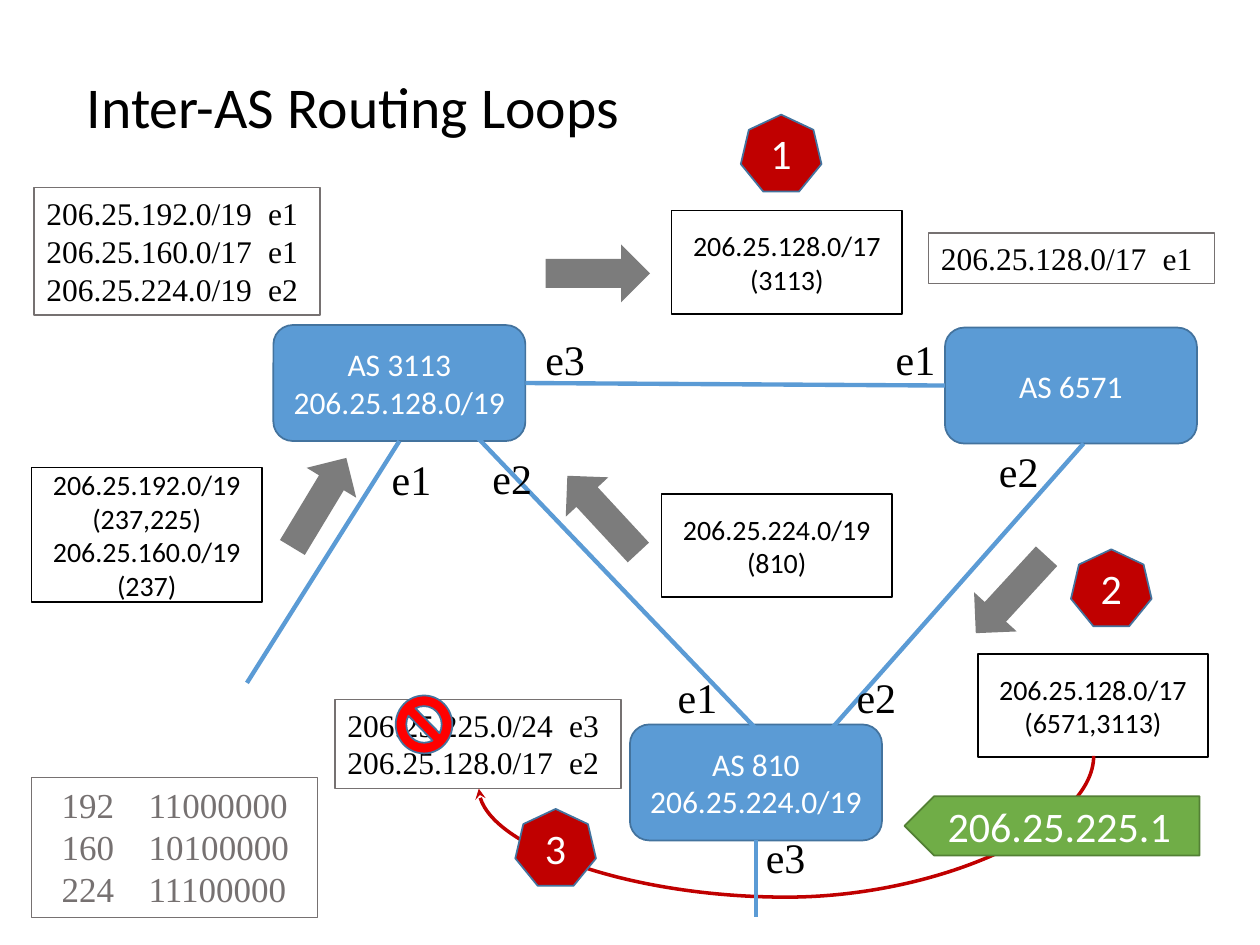
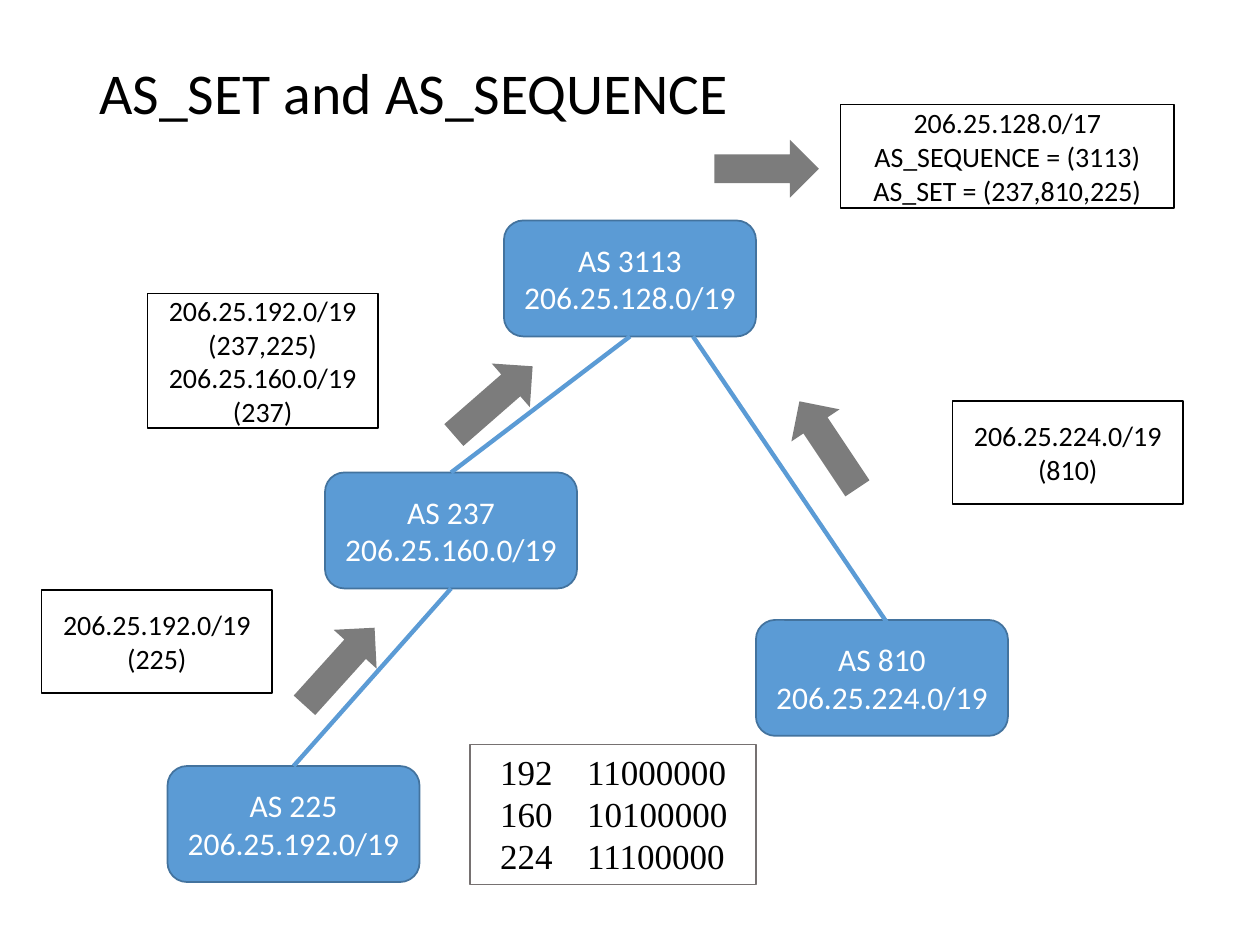
from lxml.etree import SubElement
from pptx import Presentation
from pptx.dml.color import RGBColor
from pptx.enum.shapes import MSO_CONNECTOR, MSO_SHAPE
from pptx.enum.text import MSO_ANCHOR, PP_ALIGN
from pptx.oxml.ns import qn
from pptx.util import Pt

PX = 9144
SANS, SERIF = "Calibri", "Times New Roman"
HUES = {
    "blue": "5B9BD5", "navy": "43739E", "red": "C00000", "stop": "FF0000",
    "green": "70AD47", "moss": "538035", "arrow": "7C7C7C", "gray": "767171",
    "black": "000000", "white": "FFFFFF",
}
BITS = ["192\t11000000", "160\t10100000", "224\t11100000"]
WEST = ["206.25.192.0/19", "(237,225)", "206.25.160.0/19", "(237)"]
SOUTH = ["206.25.224.0/19", "(810)"]


def draw(slide, kind, box, fill=None, edge=None, weight=1, lines=(), size=18,
         face=SANS, ink="black", align=PP_ALIGN.CENTER,
         anchor=MSO_ANCHOR.MIDDLE, inset=10, tab=None):
    place = [n * PX for n in box]
    if kind is None:
        shape = slide.shapes.add_textbox(*place)
    else:
        shape = slide.shapes.add_shape(kind, *place)
        shape.shadow.inherit = False
        for part, hue in ((shape.fill, fill), (shape.line.fill, edge)):
            if hue:
                part.solid()
                part.fore_color.rgb = RGBColor.from_string(HUES[hue])
            else:
                part.background()
        if edge:
            shape.line.width = Pt(weight)
    frame = shape.text_frame
    frame.word_wrap = True
    frame.vertical_anchor = anchor
    frame.margin_left = inset * PX
    for i, line in enumerate(lines):
        para = frame.add_paragraph() if i else frame.paragraphs[0]
        para.text = line
        para.alignment = align
        if tab:
            stops = SubElement(para._p.get_or_add_pPr(), qn("a:tabLst"))
            SubElement(stops, qn("a:tab"), pos=str(tab * PX), algn="l")
        para.font.size = Pt(size)
        para.font.name = face
        para.font.color.rgb = RGBColor.from_string(HUES[ink])
    return shape


def link(slide, kind, ends, hue="blue", weight=2.5):
    line = slide.shapes.add_connector(kind, *[n * PX for n in ends])
    line.line.color.rgb = RGBColor.from_string(HUES[hue])
    line.line.width = Pt(weight)
    SubElement(line._element.spPr, qn("a:effectLst"))
    return line


pages = [
    {
        "title": ("Inter-AS Routing Loops", (59, 36, 883, 102)),
        "nodes": [
            (217, 258, ["AS 3113", "206.25.128.0/19"]),
            (750, 260, ["AS 6571"]),
            (500, 575, ["AS 810", "206.25.224.0/19"]),
        ],
        "notes": [
            (533, 167, 183, 82, ["206.25.128.0/17", "(3113)"]),
            (525, 392, 183, 82, SOUTH),
            (25, 371, 183, 107, WEST),
            (776, 519, 183, 82, ["206.25.128.0/17", "(6571,3113)"]),
        ],
        "links": [(317, 350, 196, 542), (417, 304, 750, 306),
                  (372, 340, 614, 593), (860, 352, 647, 593)],
        "arrows": [(212, 376, 301.1), (437, 385, 227.2),
                   (433, 194, 0), (761, 449, 132.6)],
        "bits": (25, 617, "gray"),
    },
    {
        "title": ("AS_SET and AS_SEQUENCE", (69, 25, 862, 102)),
        "nodes": [
            (400, 175, ["AS 3113", "206.25.128.0/19"]),
            (258, 375, ["AS 237", "206.25.160.0/19"]),
            (133, 608, ["AS 225", "206.25.192.0/19"]),
            (600, 492, ["AS 810", "206.25.224.0/19"]),
        ],
        "notes": [
            (667, 83, 265, 82, ["206.25.128.0/17", "AS_SEQUENCE = (3113)",
                                "AS_SET = (237,810,225)"]),
            (756, 318, 183, 82, SOUTH),
            (117, 233, 183, 107, WEST),
            (33, 468, 183, 82, ["206.25.192.0/19", "(225)"]),
        ],
        "links": [(500, 267, 358, 375), (358, 467, 233, 608),
                  (550, 267, 714, 509)],
        "arrows": [(228, 506, 312.1), (350, 295, 318.9),
                   (616, 330, 236.3), (567, 111, 0)],
        "bits": (373, 591, "black"),
    },
]

deck = Presentation()
deck.slide_width = 1000 * PX
deck.slide_height = 750 * PX

for page in pages:
    slide = deck.slides.add_slide(deck.slide_layouts[6])
    text, box = page["title"]
    title = draw(slide, None, box, lines=[text], size=33, align=PP_ALIGN.LEFT)
    title.text_frame.paragraphs[0].line_spacing = 0.9
    for x, y, lines in page["nodes"]:
        draw(slide, MSO_SHAPE.ROUNDED_RECTANGLE, (x, y, 200, 92),
             "blue", "navy", lines=lines, ink="white")
    for *box, lines in page["notes"]:
        draw(slide, MSO_SHAPE.RECTANGLE, box, "white", "black",
             lines=lines, size=16)
    for ends in page["links"]:
        link(slide, MSO_CONNECTOR.STRAIGHT, ends)
    for x, y, turn in page["arrows"]:
        arrow = draw(slide, MSO_SHAPE.RIGHT_ARROW, (x, y, 83, 46), "arrow")
        arrow.rotation = turn
    x, y, ink = page["bits"]
    draw(slide, MSO_SHAPE.RECTANGLE, (x, y, 227, 111), None, "gray", 0.75,
         BITS, 20, SERIF, ink, PP_ALIGN.LEFT, MSO_ANCHOR.TOP, 24, 69)

loops = deck.slides[0]
routes = [
    (27, 149, 101, ["206.25.192.0/19\te1", "206.25.160.0/17\te1",
                    "206.25.224.0/19\te2"]),
    (737, 185, 40, ["206.25.128.0/17\te1"]),
    (266, 555, 71, ["206.25.225.0/24\te3", "206.25.128.0/17\te2"]),
]
for x, y, high, lines in routes:
    draw(loops, MSO_SHAPE.RECTANGLE, (x, y, 227, high), None, "gray", 0.75,
         lines, 18, SERIF, "black", PP_ALIGN.LEFT, MSO_ANCHOR.TOP, tab=176)

curve = link(loops, MSO_CONNECTOR.CURVE, (611, 369, 637, 857), "red", 2)
form = curve._element.spPr
form.find(qn("a:xfrm")).set("rot", "5400000")
guides = form.find(qn("a:prstGeom")).find(qn("a:avLst"))
SubElement(guides, qn("a:gd"), name="adj1", fmla="val 431300")
SubElement(form.find(qn("a:ln")), qn("a:tailEnd"), type="stealth")
link(loops, MSO_CONNECTOR.STRAIGHT, (600, 667, 600, 728))

draw(loops, MSO_SHAPE.NO_SYMBOL, (314, 552, 45, 46), "stop", "navy")
for step, (x, y) in enumerate([(588, 91), (850, 436), (409, 642)], 1):
    draw(loops, MSO_SHAPE.HEPTAGON, (x, y, 64, 61), "red", "navy",
         lines=[str(step)], size=24, ink="white")
plate = draw(loops, MSO_SHAPE.PENTAGON, (718, 632, 234, 47), "green", "moss",
             lines=["206.25.225.1"], size=24, ink="white")
plate._element.spPr.find(qn("a:xfrm")).set("flipH", "1")

ports = [
    ("e1", 301, 355), ("e2", 381, 354), ("e3", 423, 260),
    ("e1", 701, 260), ("e2", 783, 349),
    ("e1", 528, 528), ("e2", 670, 528), ("e3", 598, 655),
]
for name, x, y in ports:
    port = draw(loops, None, (x, y, 52, 50), lines=[name], size=24,
                face=SERIF, align=PP_ALIGN.LEFT, anchor=MSO_ANCHOR.TOP)
    port.text_frame.word_wrap = False

deck.save("out.pptx")
